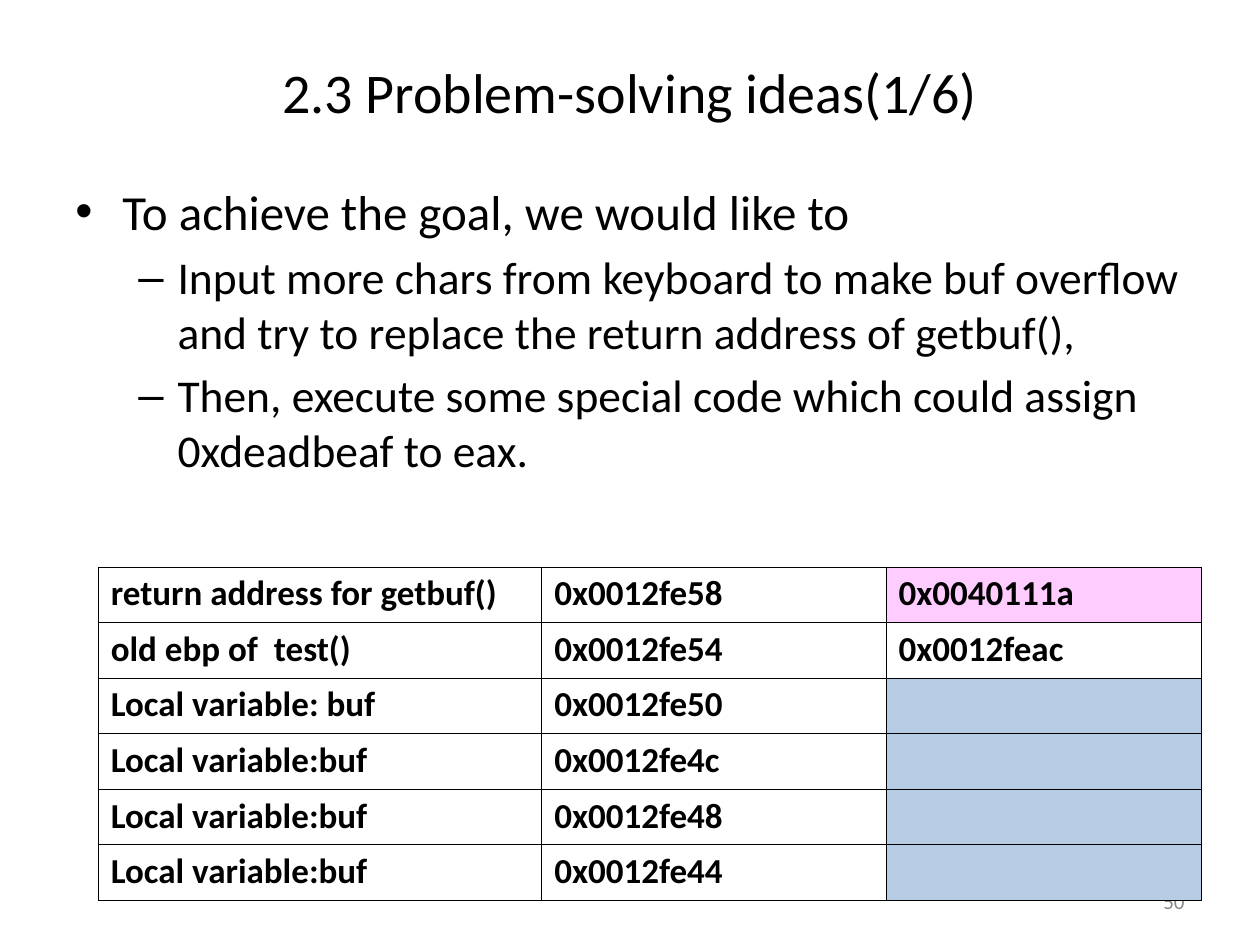
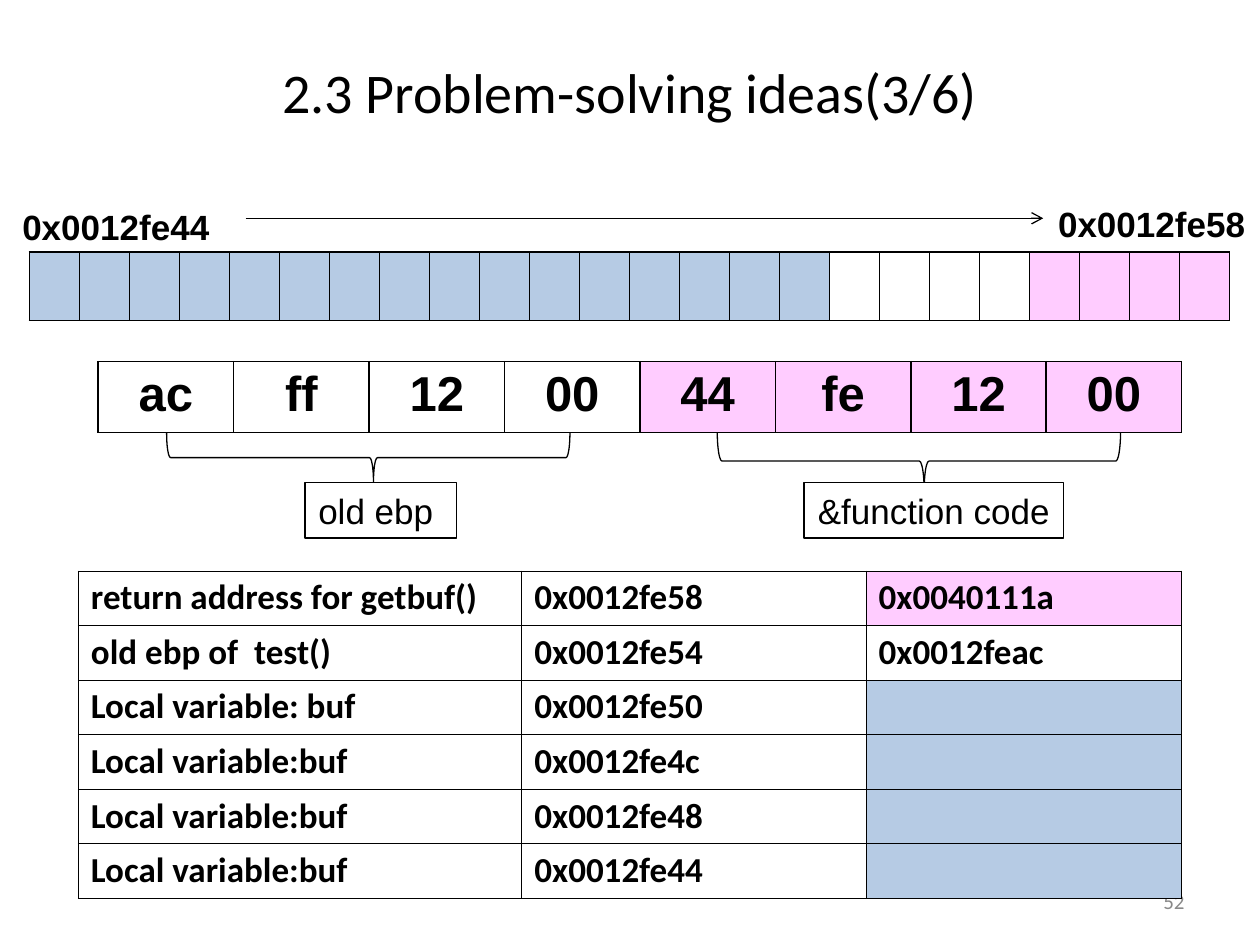
import pptx
import pptx.dml.color
import pptx.enum.shapes
import pptx.enum.text
import pptx.oxml
import pptx.oxml.ns
import pptx.util
from lxml import etree

Cm, Pt = pptx.util.Cm, pptx.util.Pt
ALIGN = pptx.enum.text.PP_ALIGN
ANCHOR = pptx.enum.text.MSO_ANCHOR
SHAPE = pptx.enum.shapes.MSO_SHAPE

BLACK, WHITE, GREY = "000000", "FFFFFF", "898989"
BUFFER, RETURN = "B6CBE4", "FFCCFF"

TITLE = {"size": 32, "font": "Calibri", "align": ALIGN.CENTER}
NUMBER = {"size": 12, "font": "Calibri", "color": GREY, "align": ALIGN.RIGHT}
STACK_TEXT = {"size": 20, "font": "Calibri", "bold": True, "before": 4}
BYTE_TEXT = {"size": 28, "font": "Arial", "bold": True, "align": ALIGN.CENTER}
ADDRESS = {"size": 20, "font": "Arial", "bold": True, "before": 4}
CAPTION = {"size": 20, "font": "Arial", "align": ALIGN.CENTER}

# bullet, left margin and hanging indent in cm, text size
LEVELS = [("•", 0.95, 0.95, 28), ("–", 2.06, 0.79, 26)]
GOALS = [
    (0, "To achieve the goal, we would like to"),
    (1, "Input more chars from keyboard to make buf overflow and try to "
        "replace the return address of getbuf(),"),
    (1, "Then, execute some special code which could assign 0xdeadbeaf to eax."),
]
STACK = [
    ("return address for getbuf()", "0x0012fe58", "0x0040111a"),
    ("old ebp of  test()", "0x0012fe54", "0x0012feac"),
    ("Local variable: buf", "0x0012fe50", ""),
    ("Local variable:buf", "0x0012fe4c", ""),
    ("Local variable:buf", "0x0012fe48", ""),
    ("Local variable:buf", "0x0012fe44", ""),
]
STACK_FILLS = [[WHITE, WHITE, c] for c in [RETURN, WHITE] + [BUFFER] * 4]
STACK_WIDTHS = [8.94, 6.94, 6.35]
MEMORY_FILLS = [BUFFER] * 16 + [WHITE] * 4 + [RETURN] * 4
BYTES = "ac ff 12 00 44 fe 12 00".split()
BYTE_FILLS = [WHITE] * 4 + [RETURN] * 4
ADDRESSES = [("0x0012fe44", 0.2, 4.01), ("0x0012fe58", 21.08, 3.96)]
# left, top, width, height of the rotated brace, and its adjustment
BRACES = [(17.93, 5.23, 1.19, 8.13, 0.081), (6.93, 5.16, 0.99, 8.13, 0.08)]
CAPTIONS = [("old ebp ", 6.15, 3.05), ("&function code", 16.21, 5.23)]


def rgb(value):
    return pptx.dml.color.RGBColor.from_string(value)


def fill(target, color):
    target.fill.solid()
    target.fill.fore_color.rgb = rgb(color)


def write(p, text, size, font, color=BLACK, bold=False, align=ALIGN.LEFT, before=0):
    p.alignment = align
    p.space_before = Pt(before)
    r = p.add_run()
    r.text = text
    look = {"size": Pt(size), "name": font, "bold": bold}
    for name, value in look.items():
        setattr(r.font, name, value)
    r.font.color.rgb = rgb(color)


def add_text(slide, text, box, style, anchor=ANCHOR.TOP, wrap=True):
    tf = slide.shapes.add_textbox(*map(Cm, box)).text_frame
    tf.word_wrap = wrap
    tf.vertical_anchor = anchor
    write(tf.paragraphs[0], text, **style)


def add_slide(prs, title, number):
    slide = prs.slides.add_slide(prs.slide_layouts[6])
    add_text(slide, title, (0, 0.76, 25.4, 2.16), TITLE, ANCHOR.MIDDLE)
    add_text(slide, number, (18.21, 17.65, 5.92, 1.02), NUMBER, ANCHOR.MIDDLE)
    return slide


def add_bullets(slide, items, box):
    tf = slide.shapes.add_textbox(*map(Cm, box)).text_frame
    tf.word_wrap = True
    for i, (level, text) in enumerate(items):
        p = tf.add_paragraph() if i else tf.paragraphs[0]
        mark, margin, hang, size = LEVELS[level]
        write(p, text, size, "Calibri", before=size * 0.2)
        p.level = level
        pPr = p._p.get_or_add_pPr()
        pPr.set("marL", str(Cm(margin)))
        pPr.set("indent", str(-Cm(hang)))
        for tag, key, value in (("a:buFont", "typeface", "Arial"),
                                ("a:buChar", "char", mark)):
            etree.SubElement(pPr, pptx.oxml.ns.qn(tag)).set(key, value)


def set_borders(cell, points):
    tcPr = cell._tc.get_or_add_tcPr()
    for i, side in enumerate(("lnL", "lnR", "lnT", "lnB")):
        tcPr.insert(i, pptx.oxml.parse_xml(
            f'<a:{side} {pptx.oxml.ns.nsdecls("a")} w="{Pt(points)}"><a:solidFill>'
            f'<a:srgbClr val="{BLACK}"/></a:solidFill></a:{side}>'))


def add_grid(slide, left, top, widths, row_height, texts, fills, style, border):
    rows = len(fills)
    table = slide.shapes.add_table(
        rows, len(widths), Cm(left), Cm(top),
        Cm(sum(widths)), Cm(row_height * rows)).table
    table.first_row = table.horz_banding = False
    for column, width in zip(table.columns, widths):
        column.width = Cm(width)
    for y, (row_texts, row_fills) in enumerate(zip(texts, fills)):
        table.rows[y].height = Cm(row_height)
        for x, (text, color) in enumerate(zip(row_texts, row_fills)):
            cell = table.cell(y, x)
            cell.margin_top = cell.margin_bottom = Cm(0.11)
            fill(cell, color)
            set_borders(cell, border)
            if text:
                write(cell.text_frame.paragraphs[0], text, **style)


def add_stack(slide, left, top, row_height):
    add_grid(slide, left, top, STACK_WIDTHS, row_height,
             STACK, STACK_FILLS, STACK_TEXT, 0.5)


def add_outlined(slide, kind, box):
    s = slide.shapes.add_shape(kind, *map(Cm, box))
    s.shadow.inherit = False
    fill(s, WHITE)
    s.line.color.rgb = rgb(BLACK)
    s.line.width = Pt(0.75)
    return s


def add_arrow(slide, x1, x2, y):
    s = slide.shapes.add_connector(
        pptx.enum.shapes.MSO_CONNECTOR.STRAIGHT, Cm(x1), Cm(y), Cm(x2), Cm(y))
    s.line.color.rgb = rgb(BLACK)
    s.line.width = Pt(0.75)
    etree.SubElement(s.line._get_or_add_ln(),
                     pptx.oxml.ns.qn("a:tailEnd")).set("type", "arrow")
    etree.SubElement(s._element.spPr, pptx.oxml.ns.qn("a:effectLst"))


def build_goal_slide(prs):
    slide = add_slide(prs, "2.3 Problem-solving ideas(1/6)", "50")
    add_bullets(slide, GOALS, (1.27, 3.53, 22.86, 13.49))
    add_stack(slide, 1.98, 11.43, 1.12)


def build_memory_slide(prs):
    slide = add_slide(prs, "2.3 Problem-solving ideas(3/6)", "52")
    cells = len(MEMORY_FILLS)
    add_grid(slide, 0.59, 5.08, [24.2 / cells] * cells, 1.38,
             [[""] * cells], [MEMORY_FILLS], None, 1)
    for *box, curl in BRACES:
        s = add_outlined(slide, SHAPE.LEFT_BRACE, box)
        s.rotation = 270
        s.adjustments[0], s.adjustments[1] = curl, 0.513
    for text, left, width in CAPTIONS:
        s = add_outlined(slide, SHAPE.RECTANGLE, (left, 9.73, width, 1.12))
        s.text_frame.word_wrap = False
        write(s.text_frame.paragraphs[0], text, **CAPTION)
    for text, left, top in ADDRESSES:
        add_text(slide, text, (left, top, 4.32, 1.12), ADDRESS, wrap=False)
    add_arrow(slide, 4.95, 21.03, 4.4)
    add_stack(slide, 1.58, 11.51, 1.1)
    add_grid(slide, 1.98, 7.29, [21.84 / len(BYTES)] * len(BYTES), 1.43,
             [BYTES], [BYTE_FILLS], BYTE_TEXT, 1)


def main():
    prs = pptx.Presentation()
    prs.slide_width, prs.slide_height = Cm(25.4), Cm(19.05)
    build_goal_slide(prs)
    build_memory_slide(prs)
    prs.save("out.pptx")


if __name__ == "__main__":
    main()
